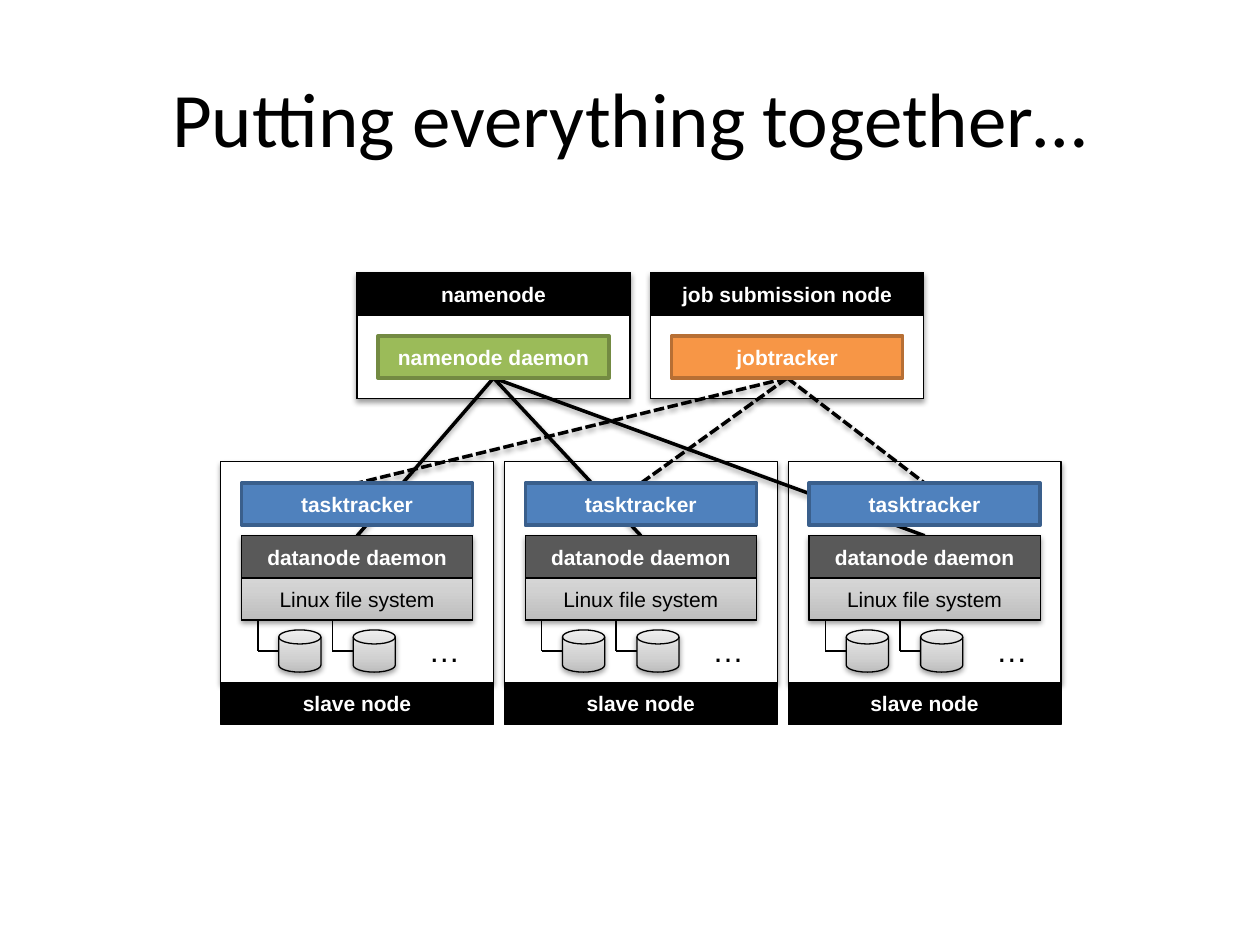
from dataclasses import dataclass
from copy import deepcopy

from lxml.etree import SubElement
from pptx import Presentation
from pptx.dml.color import RGBColor
from pptx.enum.dml import MSO_LINE
from pptx.enum.shapes import MSO_CONNECTOR, MSO_SHAPE
from pptx.enum.text import MSO_ANCHOR, MSO_AUTO_SIZE, PP_ALIGN
from pptx.oxml.ns import qn
from pptx.util import Cm, Pt

BLACK = RGBColor(0x00, 0x00, 0x00)
WHITE = RGBColor(0xFF, 0xFF, 0xFF)
CHARCOAL = RGBColor(0x59, 0x59, 0x59)
BLUE = RGBColor(0x4F, 0x81, 0xBD)
BLUE_EDGE = RGBColor(0x3A, 0x5F, 0x8C)
GREEN = RGBColor(0x9B, 0xBB, 0x59)
GREEN_EDGE = RGBColor(0x73, 0x8A, 0x42)
ORANGE = RGBColor(0xF7, 0x96, 0x46)
ORANGE_EDGE = RGBColor(0xB7, 0x6F, 0x34)
SILVER = (
    (0, RGBColor(0xBD, 0xBD, 0xBD)),
    (0.35, RGBColor(0xD1, 0xD1, 0xD1)),
    (1, RGBColor(0xEE, 0xEE, 0xEE)),
)

# Grid, in centimetres
NODE_W, BOX_W, BAR_H = 5.5, 4.66, 0.85
INSET = (NODE_W - BOX_W) / 2
MASTER_TOP, MASTER_H = 5.5, 2.54
SLAVE_TOP, SLAVE_H = 9.31, 4.45
TRACKER_TOP, DATANODE_TOP, DISK_TOP = 9.74, 10.8, 12.7
FS_TOP = DATANODE_TOP + BAR_H
FS_BOTTOM = FS_TOP + BAR_H
SLAVE_LEFTS = [4.45 + 5.72 * i for i in range(3)]
DISK_OFFSETS = (1.17, 2.67)
WIRE_GAP = 0.42


@dataclass
class Style:
    fill: RGBColor | tuple | None = None
    line: RGBColor = BLACK
    width: float = 0.75
    color: RGBColor = WHITE
    bold: bool = True
    shadow: bool = False


@dataclass
class Master:
    left: float
    name: str
    daemon: str
    style: Style


PANEL = Style(WHITE, shadow=True)
OUTLINE = Style()
HEADER = Style(BLACK)
METAL = Style(SILVER, shadow=True)
DATANODE = Style(CHARCOAL)
FILE_SYSTEM = Style(color=BLACK, bold=False)
TRACKER = Style(BLUE, BLUE_EDGE, 2)

MASTERS = [
    Master(7.2, "namenode", "namenode daemon", Style(GREEN, GREEN_EDGE, 2)),
    Master(13.12, "job submission node", "jobtracker", Style(ORANGE, ORANGE_EDGE, 2)),
]


def add_shadow(spPr) -> None:
    """Replace the themed effects with a soft shadow straight below."""
    effects = spPr.find(qn("a:effectLst"))
    shadow = SubElement(effects, qn("a:outerShdw"), blurRad="40000",
                        dist="20000", dir="5400000", rotWithShape="0")
    color = SubElement(shadow, qn("a:srgbClr"), val="000000")
    SubElement(color, qn("a:alpha"), val="38000")


def fill_gradient(sp, stops: tuple) -> None:
    sp.fill.gradient()
    sp.fill.gradient_angle = 90
    first = next(sp._element.spPr.iter(qn("a:gs")))
    first.addnext(deepcopy(first))
    for stop, (position, color) in zip(sp.fill.gradient_stops, stops):
        stop.position = position
        stop.color.rgb = color


def write(tf, text: str, size: float, color: RGBColor, bold: bool = False,
          font: str = "Arial", align=PP_ALIGN.CENTER) -> None:
    p = tf.paragraphs[0]
    p.alignment = align
    r = p.add_run()
    r.text = text
    for name, value in {"size": Pt(size), "bold": bold, "name": font}.items():
        setattr(r.font, name, value)
    r.font.color.rgb = color


def add_box(shapes, left: float, top: float, width: float, height: float,
            style: Style, text: str = "", kind=MSO_SHAPE.RECTANGLE):
    sp = shapes.add_shape(kind, Cm(left), Cm(top), Cm(width), Cm(height))
    if style.fill is None:
        sp.fill.background()
    elif isinstance(style.fill, RGBColor):
        sp.fill.solid()
        sp.fill.fore_color.rgb = style.fill
    else:
        fill_gradient(sp, style.fill)
    sp.line.color.rgb = style.line
    sp.line.width = Pt(style.width)
    sp.shadow.inherit = False
    if style.shadow:
        add_shadow(sp._element.spPr)
    if text:
        sp.text_frame.vertical_anchor = MSO_ANCHOR.MIDDLE
        sp.text_frame.word_wrap = True
        write(sp.text_frame, text, 12, style.color, style.bold)
    return sp


def add_line(shapes, x1: float, y1: float, x2: float, y2: float,
             width: float = 0.75, dash=None, shadow: bool = False):
    line = shapes.add_connector(MSO_CONNECTOR.STRAIGHT,
                                Cm(x1), Cm(y1), Cm(x2), Cm(y2))
    line.line.color.rgb = BLACK
    line.line.width = Pt(width)
    if dash is not None:
        line.line.dash_style = dash
    spPr = line._element.spPr
    SubElement(spPr, qn("a:effectLst"))
    if shadow:
        add_shadow(spPr)
    return line


def add_slave(shapes, left: float) -> tuple:
    """Draw a slave node's contents; return its datanode and tasktracker."""
    x = left + INSET
    add_box(shapes, x, DATANODE_TOP, BOX_W, 2 * BAR_H, METAL)
    datanode = add_box(shapes, x, DATANODE_TOP, BOX_W, BAR_H, DATANODE, "datanode daemon")
    add_box(shapes, x, FS_TOP, BOX_W, BAR_H, FILE_SYSTEM, "Linux file system")
    for offset in DISK_OFFSETS:
        disk_x, disk_y = left + offset, DISK_TOP + BAR_H / 2
        wire_x = disk_x - WIRE_GAP
        add_box(shapes, disk_x, DISK_TOP, BAR_H, BAR_H, METAL,
                kind=MSO_SHAPE.FLOWCHART_MAGNETIC_DISK)
        add_line(shapes, wire_x, FS_BOTTOM, wire_x, disk_y)
        add_line(shapes, wire_x, disk_y, disk_x, disk_y)
    tf = shapes.add_textbox(Cm(left + 3.94), Cm(12.6), Cm(1.14), Cm(1.02)).text_frame
    tf.word_wrap = False
    tf.auto_size = MSO_AUTO_SIZE.SHAPE_TO_FIT_TEXT
    write(tf, "…", 18, BLACK, align=PP_ALIGN.LEFT)
    tracker = add_box(shapes, x, TRACKER_TOP, BOX_W, BAR_H, TRACKER, "tasktracker")
    add_box(shapes, left, SLAVE_TOP + SLAVE_H, NODE_W, BAR_H, HEADER, "slave node")
    return datanode, tracker


def add_master(shapes, master: Master):
    """Draw a master node's contents; return its daemon box."""
    add_box(shapes, master.left, MASTER_TOP, NODE_W, BAR_H, HEADER, master.name)
    add_box(shapes, master.left, MASTER_TOP + BAR_H, NODE_W, MASTER_H - BAR_H, OUTLINE)
    return add_box(shapes, master.left + INSET, MASTER_TOP + 1.27, BOX_W, BAR_H,
                   master.style, master.daemon)


def main() -> None:
    prs = Presentation()
    prs.slide_width, prs.slide_height = Cm(25.4), Cm(19.05)
    slide = prs.slides.add_slide(prs.slide_layouts[5])
    shapes = slide.shapes

    title = shapes.title
    frame = {"left": 1.27, "top": 0.76, "width": 22.86, "height": 3.18}
    for name, value in frame.items():
        setattr(title, name, Cm(value))
    title.text_frame.vertical_anchor = MSO_ANCHOR.MIDDLE
    write(title.text_frame, "Putting everything together…", 44, BLACK, font="Calibri")

    for master in MASTERS:
        add_box(shapes, master.left, MASTER_TOP, NODE_W, MASTER_H, PANEL)
    for left in SLAVE_LEFTS:
        add_box(shapes, left, SLAVE_TOP, NODE_W, SLAVE_H, PANEL)

    # Links lie behind the boxes, so they are drawn first and joined afterwards
    links = [[add_line(shapes, 0, 0, 0, 0, 2, dash, shadow=True) for _ in SLAVE_LEFTS]
             for dash in (None, MSO_LINE.SQUARE_DOT)]
    slaves = [add_slave(shapes, left) for left in SLAVE_LEFTS]
    daemons = [add_master(shapes, master) for master in MASTERS]
    for daemon, lines, targets in zip(daemons, links, zip(*slaves)):
        for line, target in zip(lines, targets):
            line.begin_connect(daemon, 2)
            line.end_connect(target, 0)

    prs.save("out.pptx")


if __name__ == "__main__":
    main()
